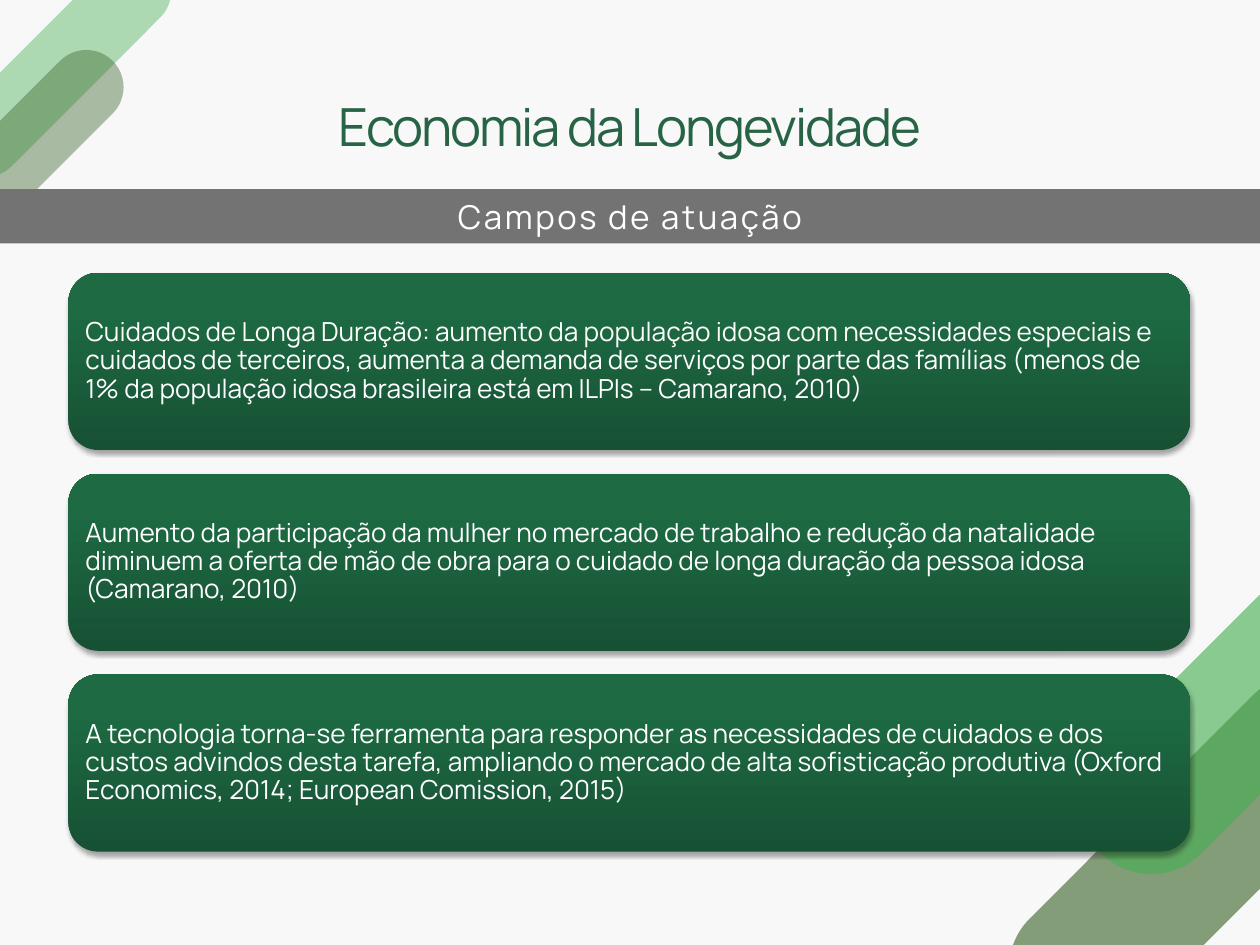
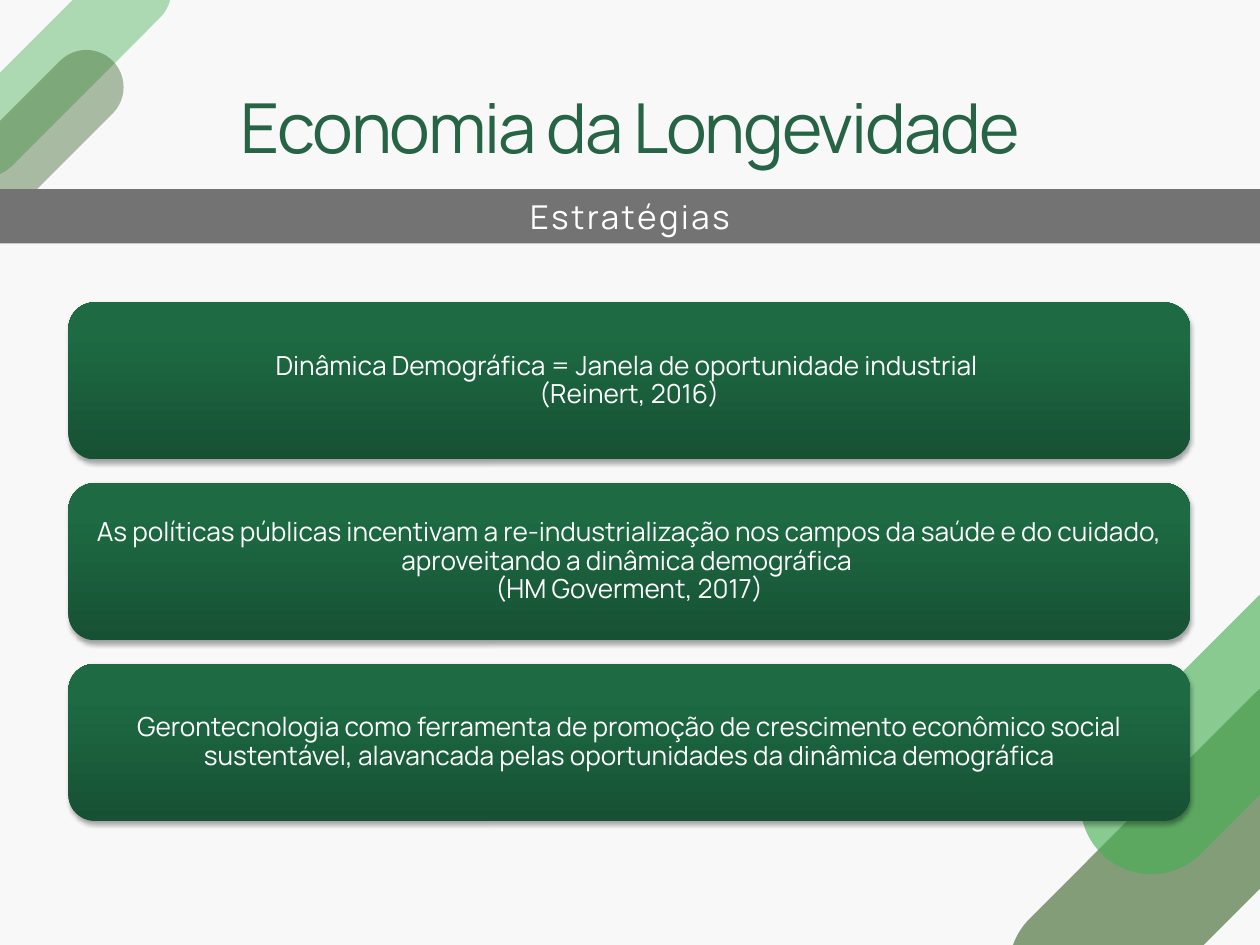
"""Builds two slides on the longevity economy: fields of work and strategies."""
from lxml.etree import SubElement
from pptx import Presentation
from pptx.dml.color import RGBColor
from pptx.enum.shapes import MSO_SHAPE
from pptx.enum.text import MSO_ANCHOR, MSO_AUTO_SIZE, PP_ALIGN
from pptx.oxml import parse_xml
from pptx.oxml.ns import nsdecls, qn
from pptx.util import Inches, Pt

FONT = "Manrope"
HUES = {
    "back": "F8F8F8",
    "moss": "3E662C",
    "leaf": "45AF53",
    "gray": "737373",
    "title": "276445",
    "white": "FFFFFF",
    "deep": "165133",
    "mid": "1D6A43",
    "top": "1C6C43",
    "shade": "000000",
}
BARS = [
    (8.15, 6.65, 3.89, 1.2, "moss", 62),
    (8.88, 5.55, 3.04, 1.2, "leaf", 62),
    (-0.7, 0.24, 2.41, 0.63, "leaf", 42),
    (-0.71, 0.89, 1.95, 0.63, "moss", 42),
]
STOPS = [(0, "deep"), (80, "mid"), (100, "top")]
GAP = 0.2
SLIDES = [
    {
        "band": "Campos de atuação",
        "size": 32,
        "top": 2.31,
        "high": 1.5,
        "align": PP_ALIGN.LEFT,
        "cards": [
            "Cuidados de Longa Duração: aumento da população idosa com necessidades "
            "especiais e cuidados de terceiros, aumenta a demanda de serviços por parte "
            "das famílias (menos de 1% da população idosa brasileira está em ILPIs – "
            "Camarano, 2010)",
            "Aumento da participação da mulher no mercado de trabalho e redução da "
            "natalidade diminuem a oferta de mão de obra para o cuidado de longa "
            "duração da pessoa idosa (Camarano, 2010)",
            "A tecnologia torna-se ferramenta para responder as necessidades de "
            "cuidados e dos custos advindos desta tarefa, ampliando o mercado de alta "
            "sofisticação produtiva (Oxford Economics, 2014; European Comission, 2015)",
        ],
    },
    {
        "band": "Estratégias",
        "size": 42,
        "top": 2.56,
        "high": 1.33,
        "align": PP_ALIGN.CENTER,
        "cards": [
            "Dinâmica Demográfica = Janela de oportunidade industrial \n(Reinert, 2016)",
            "As políticas públicas incentivam a re-industrialização nos campos da saúde "
            "e do cuidado, aproveitando a dinâmica demográfica \n(HM Goverment, 2017)",
            "Gerontecnologia como ferramenta de promoção de crescimento econômico "
            "social sustentável, alavancada pelas oportunidades da dinâmica demográfica",
        ],
    },
]


def hue(name):
    return RGBColor.from_string(HUES[name])


def write(shape, text, size, tint, align, space=0):
    frame = shape.text_frame
    frame.word_wrap = True
    frame.auto_size = MSO_AUTO_SIZE.NONE
    frame.vertical_anchor = MSO_ANCHOR.MIDDLE
    para = frame.paragraphs[0]
    para.text = text
    para.alignment = align
    para.space_before = Pt(0)
    for run in para.runs:
        run.font.name = FONT
        run.font.size = Pt(size)
        run.font.color.rgb = hue(tint)
        run.font.element.set("spc", str(space)) if hasattr(run.font, "element") else run._r.get_or_add_rPr().set("spc", str(space))
    return para


deck = Presentation()
deck.slide_width, deck.slide_height = Inches(10.67), Inches(8)
plan = deck.slide_layouts[1]
fill = deck.slide_master.background.fill
fill.solid()
fill.fore_color.rgb = hue("back")

for page in SLIDES:
    slide = deck.slides.add_slide(plan)

    if page is SLIDES[0]:
        for n, (left, top, wide, high, tint, alpha) in enumerate(BARS):
            bar = slide.shapes.add_shape(
                MSO_SHAPE.ROUNDED_RECTANGLE,
                Inches(left), Inches(top), Inches(wide), Inches(high))
            bar.adjustments[0] = 0.5
            bar.rotation = 315
            bar.shadow.inherit = False
            bar.line.fill.background()
            bar.fill.solid()
            bar.fill.fore_color.rgb = hue(tint)
            node = bar.element.xpath("./p:spPr/a:solidFill/a:srgbClr")[0]
            SubElement(node, qn("a:alpha"), val=str(alpha * 1000))
            bar.element.xpath(".//p:cNvPr")[0].set("id", str(20 + n))
            plan.shapes.element.insert(2 + n, bar.element)

    band = slide.placeholders[1]
    band.left, band.top = Inches(0), Inches(1.6)
    band.width, band.height = Inches(10.67), Inches(0.46)
    band.fill.solid()
    band.fill.fore_color.rgb = hue("gray")
    para = write(band, page["band"], 20, "white", PP_ALIGN.CENTER, 160)
    props = para._p.get_or_add_pPr()
    props.set("marL", "0")
    props.set("indent", "0")
    SubElement(props, qn("a:buNone"))

    title = slide.shapes.title
    title.left, title.top = Inches(1.36), Inches(0.58)
    title.width, title.height = Inches(7.95), Inches(0.97)
    write(title, "Economia da Longevidade", page["size"], "title", PP_ALIGN.CENTER, -130)

    for n, text in enumerate(page["cards"]):
        card = slide.shapes.add_shape(
            MSO_SHAPE.ROUNDED_RECTANGLE,
            Inches(0.58), Inches(page["top"] + n * (page["high"] + GAP)),
            Inches(9.5), Inches(page["high"]))
        stops = "".join(
            f'<a:gs pos="{pos * 1000}"><a:srgbClr val="{HUES[tint]}"/></a:gs>'
            for pos, tint in STOPS)
        props = card.element.spPr
        props.append(parse_xml(
            f'<a:gradFill {nsdecls("a")} rotWithShape="1"><a:gsLst>{stops}</a:gsLst>'
            '<a:lin ang="16200000" scaled="0"/></a:gradFill>'))
        card.line.fill.background()
        props.append(parse_xml(
            f'<a:effectLst {nsdecls("a")}><a:outerShdw blurRad="{Pt(3.1)}" '
            f'dist="{Pt(1.8)}" dir="5400000" rotWithShape="0">'
            f'<a:srgbClr val="{HUES["shade"]}"><a:alpha val="35000"/></a:srgbClr>'
            '</a:outerShdw></a:effectLst>'))
        frame = card.text_frame
        frame.margin_left = frame.margin_right = Inches(0.07)
        frame.margin_top = frame.margin_bottom = Inches(0.07)
        para = write(card, text, 16, "white", page["align"])
        para.line_spacing = 0.9

deck.save("out.pptx")
